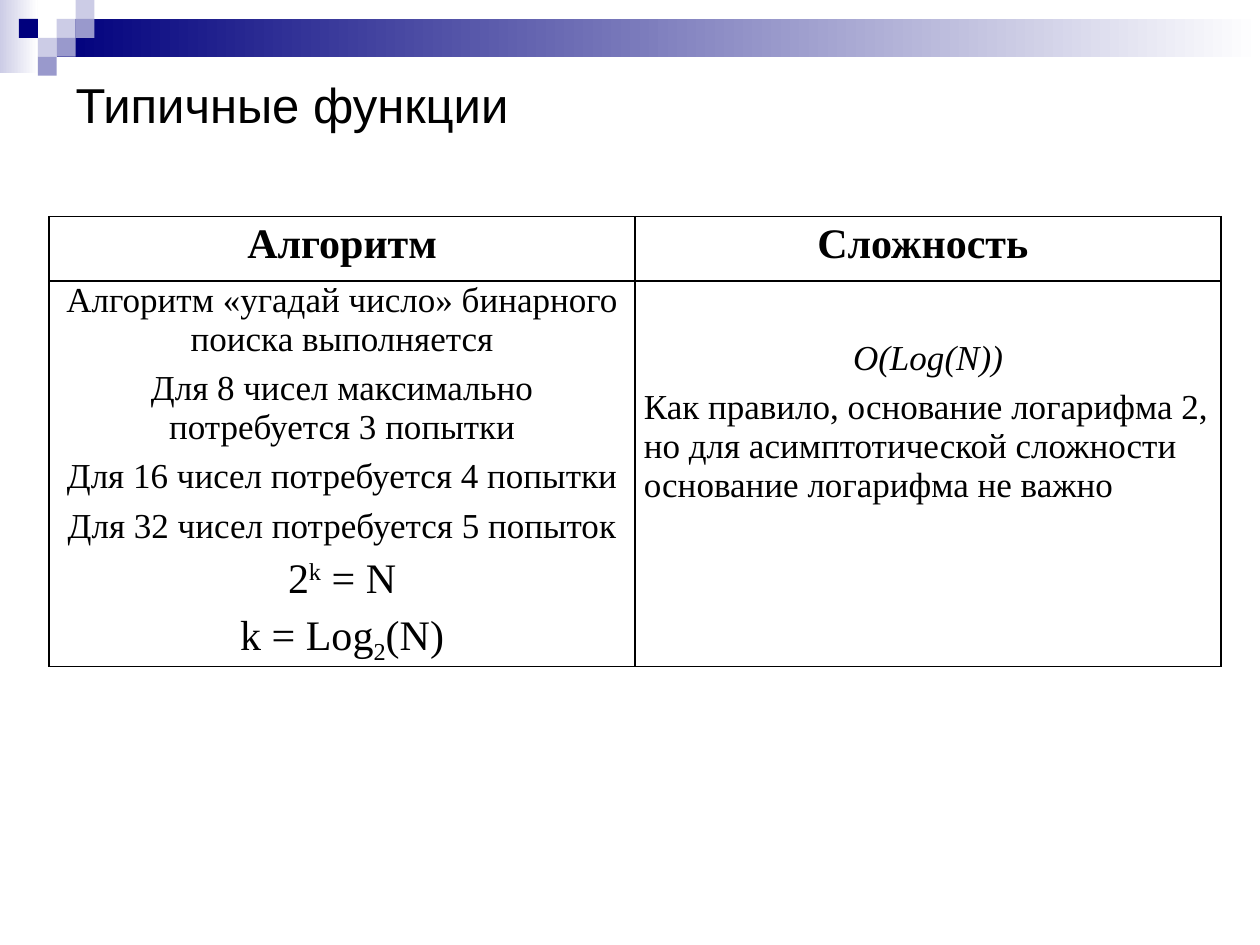
from dataclasses import dataclass

import pptx
import pptx.dml.color
import pptx.enum.shapes
import pptx.enum.text
import pptx.oxml
import pptx.oxml.ns
import pptx.util

ALIGN = pptx.enum.text.PP_ALIGN
Inches = pptx.util.Inches
Pt = pptx.util.Pt


@dataclass(frozen=True)
class Theme:
    ink: str = "000000"
    paper: str = "FFFFFF"
    navy: str = "00007D"
    lilac: str = "9999CC"
    pale: str = "CCCCE6"
    title_font: str = "Arial"
    table_font: str = "Times New Roman"
    title_size: int = 28
    large: int = 24
    body: int = 20
    border: int = 1


THEME = Theme()
SLIDE_WIDTH, SLIDE_HEIGHT = 10, 7.5
UNIT = 0.15  # side of one mosaic square
SUPERSCRIPT, SUBSCRIPT = 30, -25

MOSAIC = [  # column, row, colour
    (3, 1, THEME.pale),
    (4, 0, THEME.pale),
    (4, 1, THEME.lilac),
    (2, 2, THEME.pale),
    (1, 1, THEME.navy),
    (3, 2, THEME.lilac),
    (2, 3, THEME.lilac),
]
GUESSING_LINES = [
    "Алгоритм «угадай число» бинарного поиска выполняется",
    "Для 8 чисел максимально потребуется 3 попытки",
    "Для 16 чисел потребуется 4 попытки",
    "Для 32 чисел потребуется 5 попыток",
]
FORMULAS = [  # runs of text with their baseline shift
    [("2", 0), ("k", SUPERSCRIPT), (" = N", 0)],
    [("k = Log", 0), ("2", SUBSCRIPT), ("(N)", 0)],
]
BASE_REMARK = (
    "Как правило, основание логарифма 2, но для асимптотической "
    "сложности основание логарифма не важно"
)


def rgb(colour):
    return pptx.dml.color.RGBColor.from_string(colour)


def add_block(slide, left, top, width, height, colour, fades=False):
    """Add a borderless rectangle, plain or fading to the paper colour."""
    shape = slide.shapes.add_shape(
        pptx.enum.shapes.MSO_SHAPE.RECTANGLE,
        Inches(left), Inches(top), Inches(width), Inches(height))
    shape.shadow.inherit = False
    shape.line.fill.background()
    if fades:
        shape.fill.gradient()
        shape.fill.gradient_angle = 0
        for stop, stop_colour in zip(shape.fill.gradient_stops, (colour, THEME.paper)):
            stop.color.rgb = rgb(stop_colour)
    else:
        shape.fill.solid()
        shape.fill.fore_color.rgb = rgb(colour)


def add_mosaic_header(slide):
    add_block(slide, 0, 0, 2 * UNIT, 0.58, THEME.pale, fades=True)
    bar_left = 3 * UNIT
    add_block(slide, bar_left, UNIT, SLIDE_WIDTH - bar_left, 2 * UNIT, THEME.navy, fades=True)
    for column, row, colour in MOSAIC:
        add_block(slide, column * UNIT, row * UNIT, UNIT, UNIT, colour)


def add_run(paragraph, text, size, font=THEME.table_font, bold=False, italic=False, baseline=0):
    run = paragraph.add_run()
    run.text = text
    run.font.name = font
    run.font.size = Pt(size)
    run.font.bold = bold
    run.font.italic = italic
    run.font.color.rgb = rgb(THEME.ink)
    if baseline:
        run.font._element.set("baseline", str(baseline * 1000))


def fill_title(slide, text):
    title = slide.shapes.title
    title.left, title.top = Inches(0.05 * SLIDE_WIDTH), Inches(0.5)
    title.width, title.height = Inches(0.9 * SLIDE_WIDTH), Inches(0.65)
    title.text_frame.vertical_anchor = pptx.enum.text.MSO_ANCHOR.MIDDLE
    paragraph = title.text_frame.paragraphs[0]
    paragraph.alignment = ALIGN.LEFT
    add_run(paragraph, text, THEME.title_size, THEME.title_font)


def next_paragraph(cell, alignment=ALIGN.CENTER, before=6, after=0, line_spacing=1.0):
    """Return the cell's first paragraph while it is unused, then new ones."""
    frame = cell.text_frame
    paragraph = frame.paragraphs[0]
    if paragraph.runs:
        paragraph = frame.add_paragraph()
    paragraph.alignment = alignment
    paragraph.space_before, paragraph.space_after = Pt(before), Pt(after)
    paragraph.line_spacing = line_spacing
    return paragraph


def format_cell(cell):
    cell.margin_left = cell.margin_right = Inches(0.07)
    cell.margin_top = cell.margin_bottom = 0
    properties = cell._tc.get_or_add_tcPr()
    for side in ("lnL", "lnR", "lnT", "lnB"):
        properties.append(pptx.oxml.parse_xml(
            f'<a:{side} {pptx.oxml.ns.nsdecls("a")} w="{Pt(THEME.border)}">'
            f'<a:solidFill><a:srgbClr val="{THEME.ink}"/></a:solidFill></a:{side}>'))
    cell.fill.background()


def add_table(slide):
    row_heights = (0.51, 3.06)
    column_width = 4.65
    table = slide.shapes.add_table(
        2, 2, Inches(0.39), Inches(1.72),
        Inches(2 * column_width), Inches(sum(row_heights))).table
    table.first_row = table.horz_banding = False
    for column in table.columns:
        column.width = Inches(column_width)
    for row, height in zip(table.rows, row_heights):
        row.height = Inches(height)
    for cell in table.iter_cells():
        format_cell(cell)
    return table


def fill_table(table):
    loose = {"before": 3, "after": 3, "line_spacing": 1.1}
    for column, heading in enumerate(("Алгоритм", "Сложность ")):
        paragraph = next_paragraph(table.cell(0, column), **loose)
        add_run(paragraph, heading, THEME.large, bold=True)

    algorithm = table.cell(1, 0)
    for line in GUESSING_LINES:
        add_run(next_paragraph(algorithm), line, THEME.body)
    for formula in FORMULAS:
        paragraph = next_paragraph(algorithm)
        for text, baseline in formula:
            add_run(paragraph, text, THEME.large, baseline=baseline)

    complexity = table.cell(1, 1)
    complexity.margin_top = Inches(0.43)
    add_run(next_paragraph(complexity, **loose), "O(Log(N))", THEME.body, italic=True)
    add_run(next_paragraph(complexity, ALIGN.LEFT, before=3), BASE_REMARK, THEME.body)


def main():
    presentation = pptx.Presentation()
    presentation.slide_width = Inches(SLIDE_WIDTH)
    presentation.slide_height = Inches(SLIDE_HEIGHT)
    title_only = presentation.slide_layouts.get_by_name("Title Only")
    slide = presentation.slides.add_slide(title_only)
    add_mosaic_header(slide)
    fill_title(slide, "Типичные функции")
    fill_table(add_table(slide))
    presentation.save("out.pptx")


if __name__ == "__main__":
    main()
